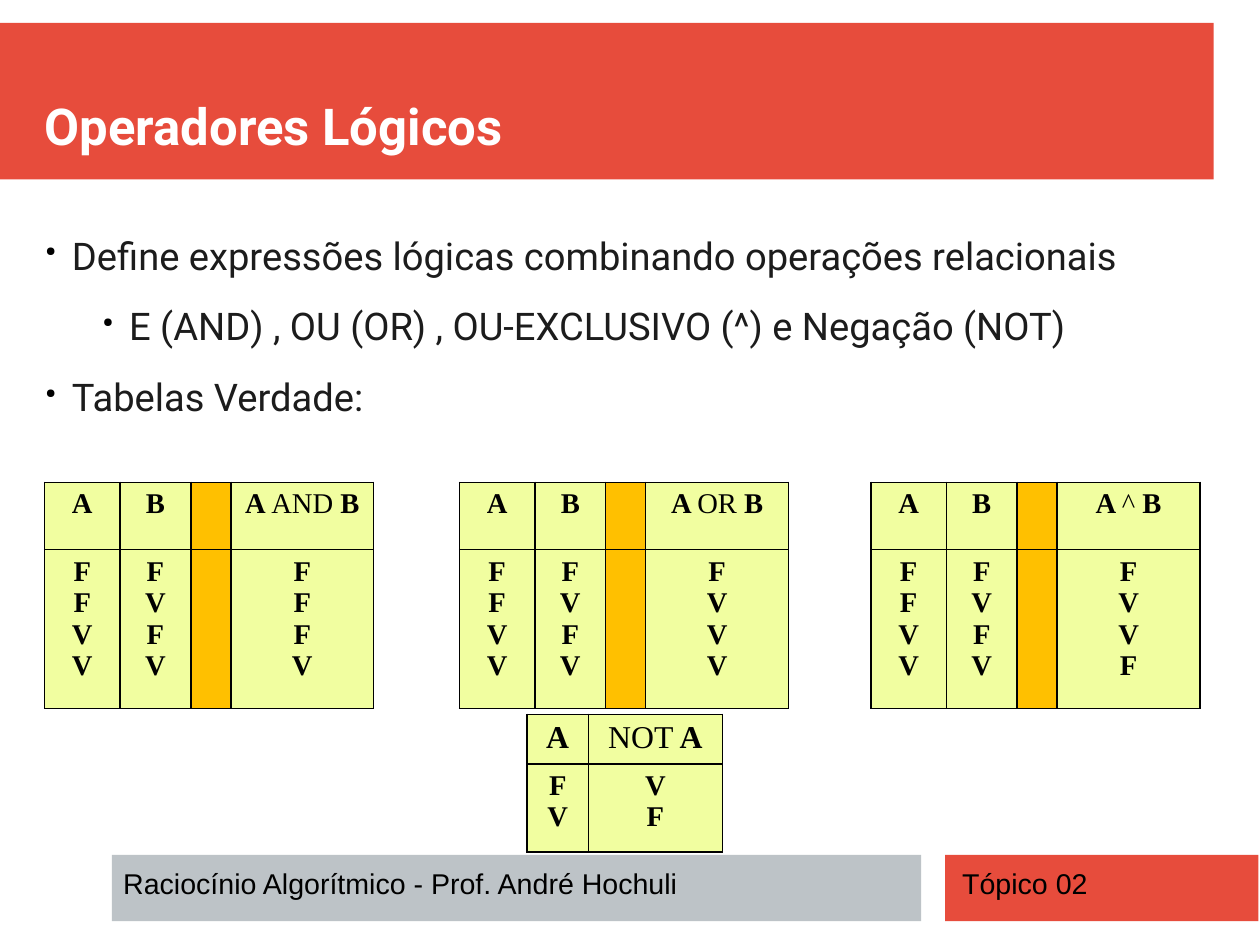
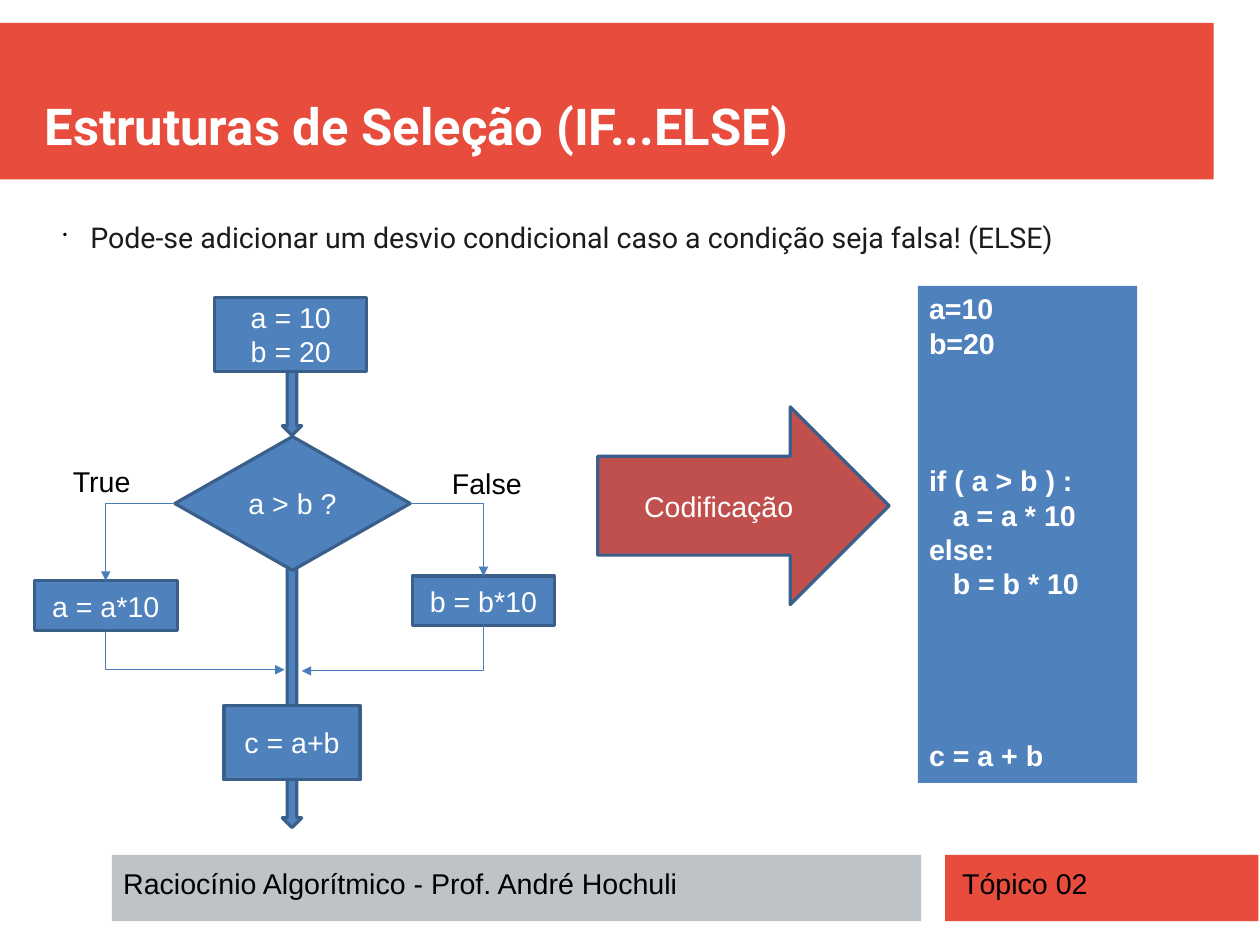
from lxml import etree
from pptx import Presentation
from pptx.dml.color import RGBColor
from pptx.enum.shapes import MSO_CONNECTOR, MSO_SHAPE
from pptx.enum.text import MSO_ANCHOR, PP_ALIGN
from pptx.oxml.ns import qn
from pptx.util import Inches, Pt

RECTANGLE, DIAMOND = MSO_SHAPE.RECTANGLE, MSO_SHAPE.DIAMOND
DOWN_ARROW, RIGHT_ARROW = MSO_SHAPE.DOWN_ARROW, MSO_SHAPE.RIGHT_ARROW
ELBOW = MSO_CONNECTOR.ELBOW
TOP, MIDDLE, BOTTOM = MSO_ANCHOR.TOP, MSO_ANCHOR.MIDDLE, MSO_ANCHOR.BOTTOM
LEFT, CENTER = PP_ALIGN.LEFT, PP_ALIGN.CENTER
SIDE_TOP, SIDE_LEFT, SIDE_BOTTOM, SIDE_RIGHT = range(4)

SLIDE_WIDTH, SLIDE_HEIGHT = Pt(793.75), Pt(595.25)

RED = RGBColor(0xE7, 0x4C, 0x3C)
GRAY = RGBColor(0xBD, 0xC3, 0xC7)
BLUE = RGBColor(0x4F, 0x81, 0xBD)
OUTLINE = RGBColor(0x3A, 0x5F, 0x8B)
CONNECTOR = RGBColor(0x4A, 0x7E, 0xBB)
BRICK = RGBColor(0xC0, 0x50, 0x4D)
LIME = RGBColor(0xF1, 0xFE, 0xA0)
AMBER = RGBColor(0xFF, 0xC0, 0x00)
INK = RGBColor(0x1C, 0x1C, 0x1C)
BLACK = RGBColor(0, 0, 0)
WHITE = RGBColor(0xFF, 0xFF, 0xFF)

TITLE_FONT = {"name": "Roboto", "size": Pt(32), "bold": True, "color": WHITE}
BODY_FONT = {"name": "Roboto", "size": Pt(24), "color": INK}
NOTE_FONT = {"name": "Roboto", "size": Pt(18), "color": INK}
LABEL_FONT = {"name": "Arial", "size": Pt(18), "color": BLACK}
FLOW_FONT = {"name": "Arial", "size": Pt(18), "color": WHITE}
CODE_FONT = {**FLOW_FONT, "bold": True}
TABLE_FONT = {"name": "Times New Roman", "size": Pt(18), "color": BLACK}
LARGE_TABLE_FONT = {**TABLE_FONT, "size": Pt(20)}

BANDS = [
    ((0, 0.2, 10.62, 1.37), RED),
    ((8.27, 7.48, 2.74, 0.58), RED),
    ((0.98, 7.48, 7.08, 0.58), GRAY),
]
FOOTERS = [
    ((0.98, 7.53, 7.04, 0.39), "Raciocínio Algorítmico - Prof. André Hochuli"),
    ((8.32, 7.53, 2.49, 0.39), "Tópico 02"),
]

OPERATORS_TITLE = "Operadores Lógicos"
OPERATOR_BULLETS = [
    (0, "Define expressões lógicas combinando operações relacionais"),
    (1, "E (AND) , OU (OR) , OU-EXCLUSIVO (^) e Negação (NOT)"),
    (0, "Tabelas Verdade:"),
]
BULLET_STEP = 0.5

# Each column: header runs as (text, bold), then its values; None is the divider.
COLUMN_A = ([("A", True)], "FFVV")
COLUMN_B = ([("B", True)], "FVFV")
BINARY_TABLES = [(0.39, "AND", "FFFV"), (4.02, "OR", "FVVV"), (7.62, "^", "FVVF")]
BINARY_TOP, BINARY_WIDTHS, BINARY_HEIGHTS = 4.22, (0.66, 0.62, 0.35, 1.25), (0.59, 1.39)
NOT_COLUMNS = [([("A", True)], "FV"), ([("NOT", False), (" A", True)], "VF")]
NOT_LEFT, NOT_TOP, NOT_WIDTHS, NOT_HEIGHTS = 4.61, 6.25, (0.54, 1.17), (0.43, 0.77)

SELECTION_TITLE = "Estruturas de Seleção (IF...ELSE)"
SELECTION_NOTE = "Pode-se adicionar um desvio condicional caso a condição seja falsa! (ELSE)"
FLOW_ARROWS = [(2.47, 3.08, 0.17, 0.73), (2.47, 4.93, 0.17, 2.31)]
FLOW_STEPS = {
    "start": (RECTANGLE, (1.88, 2.6, 1.33, 0.65), ["a = 10", "b = 20"]),
    "true": (RECTANGLE, (0.3, 5.08, 1.25, 0.44), ["a = a*10"]),
    "sum": (RECTANGLE, (1.96, 6.17, 1.19, 0.65), ["c = a+b"]),
    "false": (RECTANGLE, (3.61, 5.04, 1.24, 0.43), ["b = b*10"]),
    "test": (DIAMOND, (1.53, 3.82, 2.06, 1.17), ["a > b ?"]),
}
BRANCHES = [("true", SIDE_LEFT, (2.49, 5.86)), ("false", SIDE_RIGHT, (2.64, 5.87))]
BRANCH_LABELS = [((0.49, 4.01, 0.8, 0.39), "True"), ((3.82, 4.03, 0.88, 0.39), "False")]
CODING_ARROW = (5.23, 3.56, 2.55, 1.73)
CODE_BOX = (8.03, 2.5, 1.92, 4.35)
CODE_LINES = ["a=10", "b=20", "if ( a > b ) :", "   a = a * 10", "else:",
              "   b = b * 10", "c = a + b"]
CODE_GAPS = {2: Pt(65), 6: Pt(86.5)}


def set_font(font, values):
    for name, value in values.items():
        if name == "color":
            font.color.rgb = value
        else:
            setattr(font, name, value)


def write(frame, paragraphs, font, align=LEFT):
    """Fill a text frame; a paragraph is a string or a list of (text, bold) runs."""
    for index, content in enumerate(paragraphs):
        paragraph = frame.paragraphs[0] if index == 0 else frame.add_paragraph()
        paragraph.alignment = align
        runs = [(content, font.get("bold", False))] if isinstance(content, str) else content
        for text, bold in runs:
            run = paragraph.add_run()
            run.text = text
            set_font(run.font, {**font, "bold": bold})


def add_text(slide, box, paragraphs, font, align=LEFT, anchor=TOP, inset=True):
    frame = slide.shapes.add_textbox(*map(Inches, box)).text_frame
    frame.word_wrap = True
    frame.vertical_anchor = anchor
    if not inset:
        for side in ("left", "top", "right", "bottom"):
            setattr(frame, f"margin_{side}", 0)
    write(frame, paragraphs, font, align)
    return frame


def add_shape(slide, kind, box, fill, outline=None):
    shape = slide.shapes.add_shape(kind, *map(Inches, box))
    shape.shadow.inherit = False
    shape.fill.solid()
    shape.fill.fore_color.rgb = fill
    if outline is None:
        shape.line.fill.background()
    else:
        shape.line.color.rgb = outline
        shape.line.width = Pt(2)
    return shape


def add_bullet(paragraph, character, percent, margin, hanging):
    properties = paragraph._p.get_or_add_pPr()
    properties.set("marL", str(Inches(margin)))
    properties.set("indent", str(-Inches(hanging)))
    color = etree.SubElement(properties, qn("a:buClr"))
    etree.SubElement(color, qn("a:srgbClr"), val=str(BLACK))
    etree.SubElement(properties, qn("a:buSzPct"), val=str(percent * 1000))
    etree.SubElement(properties, qn("a:buChar"), char=character)


def add_slide(presentation, title):
    """Add a slide with the shared bands, title and footers."""
    slide = presentation.slides.add_slide(presentation.slide_layouts[6])
    for box, color in BANDS:
        add_shape(slide, RECTANGLE, box, color)
    add_text(slide, (0.39, 0.39, 10.22, 0.97), [title], TITLE_FONT, anchor=BOTTOM, inset=False)
    for box, text in FOOTERS:
        add_text(slide, box, [text], LABEL_FONT)
    return slide


def format_cell(cell, fill):
    cell.fill.solid()
    cell.fill.fore_color.rgb = fill
    properties = cell._tc.get_or_add_tcPr()
    for index, side in enumerate(("lnL", "lnR", "lnT", "lnB")):
        line = etree.Element(qn(f"a:{side}"), w=str(Pt(0.96)))
        solid = etree.SubElement(line, qn("a:solidFill"))
        etree.SubElement(solid, qn("a:srgbClr"), val=str(BLACK))
        properties.insert(index, line)


def add_truth_table(slide, left, top, widths, heights, columns, header_font):
    box = map(Inches, (left, top, sum(widths), sum(heights)))
    table = slide.shapes.add_table(len(heights), len(widths), *box).table
    for row, height in zip(table.rows, heights):
        row.height = Inches(height)
    for index, (width, column) in enumerate(zip(widths, columns)):
        table.columns[index].width = Inches(width)
        header, values = table.cell(0, index), table.cell(1, index)
        for cell in (header, values):
            format_cell(cell, AMBER if column is None else LIME)
        if column is not None:
            write(header.text_frame, [column[0]], header_font, CENTER)
            write(values.text_frame, column[1], {**TABLE_FONT, "bold": True}, CENTER)


def add_elbow(slide, begin, end, arrow_end):
    """Draw a line that leaves begin sideways, turns once and meets end vertically."""
    connector = slide.shapes.add_connector(ELBOW, *begin, *end)
    connector.line.color.rgb = CONNECTOR
    connector.line.width = Pt(0.75)
    properties = connector._element.spPr
    properties.find(qn("a:prstGeom")).set("prst", "bentConnector2")
    etree.SubElement(properties.find(qn("a:ln")), qn(f"a:{arrow_end}"), type="triangle")
    etree.SubElement(properties, qn("a:effectLst"))
    return connector


def side_point(shape, side):
    across = {SIDE_LEFT: 0, SIDE_RIGHT: shape.width}.get(side, shape.width // 2)
    down = {SIDE_TOP: 0, SIDE_BOTTOM: shape.height}.get(side, shape.height // 2)
    return shape.left + across, shape.top + down


def build_operators(presentation):
    slide = add_slide(presentation, OPERATORS_TITLE)
    texts = [text for _, text in OPERATOR_BULLETS]
    frame = add_text(slide, (0.39, 2.17, 10.03, 5.11), texts, BODY_FONT, inset=False)
    for paragraph, (level, _) in zip(frame.paragraphs, OPERATOR_BULLETS):
        paragraph.level = level
        paragraph.line_spacing = 0.6
        paragraph.space_after = Pt(27.2)
        add_bullet(paragraph, "●", 34, 0.24 + level * BULLET_STEP, 0.23)
    for left, operator, results in BINARY_TABLES:
        header = [("A ", True), (operator, False), (" B", True)]
        columns = [COLUMN_A, COLUMN_B, None, (header, results)]
        add_truth_table(slide, left, BINARY_TOP, BINARY_WIDTHS, BINARY_HEIGHTS,
                        columns, TABLE_FONT)
    add_truth_table(slide, NOT_LEFT, NOT_TOP, NOT_WIDTHS, NOT_HEIGHTS,
                    NOT_COLUMNS, LARGE_TABLE_FONT)


def build_selection(presentation):
    slide = add_slide(presentation, SELECTION_TITLE)
    note = add_text(slide, (0.55, 1.92, 10.03, 5.19), [SELECTION_NOTE], NOTE_FONT, inset=False)
    add_bullet(note.paragraphs[0], "•", 45, 0.24, 0.24)

    for box in FLOW_ARROWS:
        add_shape(slide, DOWN_ARROW, box, BLUE, OUTLINE)
    steps = {}
    for name, (kind, box, lines) in FLOW_STEPS.items():
        steps[name] = add_shape(slide, kind, box, BLUE, OUTLINE)
        steps[name].text_frame.vertical_anchor = MIDDLE
        write(steps[name].text_frame, lines, FLOW_FONT, CENTER)

    test = steps["test"]
    for name, side, merge in BRANCHES:
        step = steps[name]
        branch = add_elbow(slide, side_point(test, side), side_point(step, SIDE_TOP), "tailEnd")
        branch.begin_connect(test, side)
        branch.end_connect(step, SIDE_TOP)
        rejoin = add_elbow(slide, map(Inches, merge), side_point(step, SIDE_BOTTOM), "headEnd")
        rejoin.end_connect(step, SIDE_BOTTOM)
    for box, text in BRANCH_LABELS:
        add_text(slide, box, [text], LABEL_FONT, CENTER)

    coding = add_shape(slide, RIGHT_ARROW, CODING_ARROW, BRICK, OUTLINE)
    coding.text_frame.vertical_anchor = MIDDLE
    write(coding.text_frame, ["Codificação"], FLOW_FONT, CENTER)

    code = add_shape(slide, RECTANGLE, CODE_BOX, BLUE).text_frame
    code.vertical_anchor = TOP
    write(code, CODE_LINES, CODE_FONT)
    for index, gap in CODE_GAPS.items():
        code.paragraphs[index].space_before = gap


def main():
    presentation = Presentation()
    presentation.slide_width = SLIDE_WIDTH
    presentation.slide_height = SLIDE_HEIGHT
    build_operators(presentation)
    build_selection(presentation)
    presentation.save("out.pptx")


if __name__ == "__main__":
    main()
